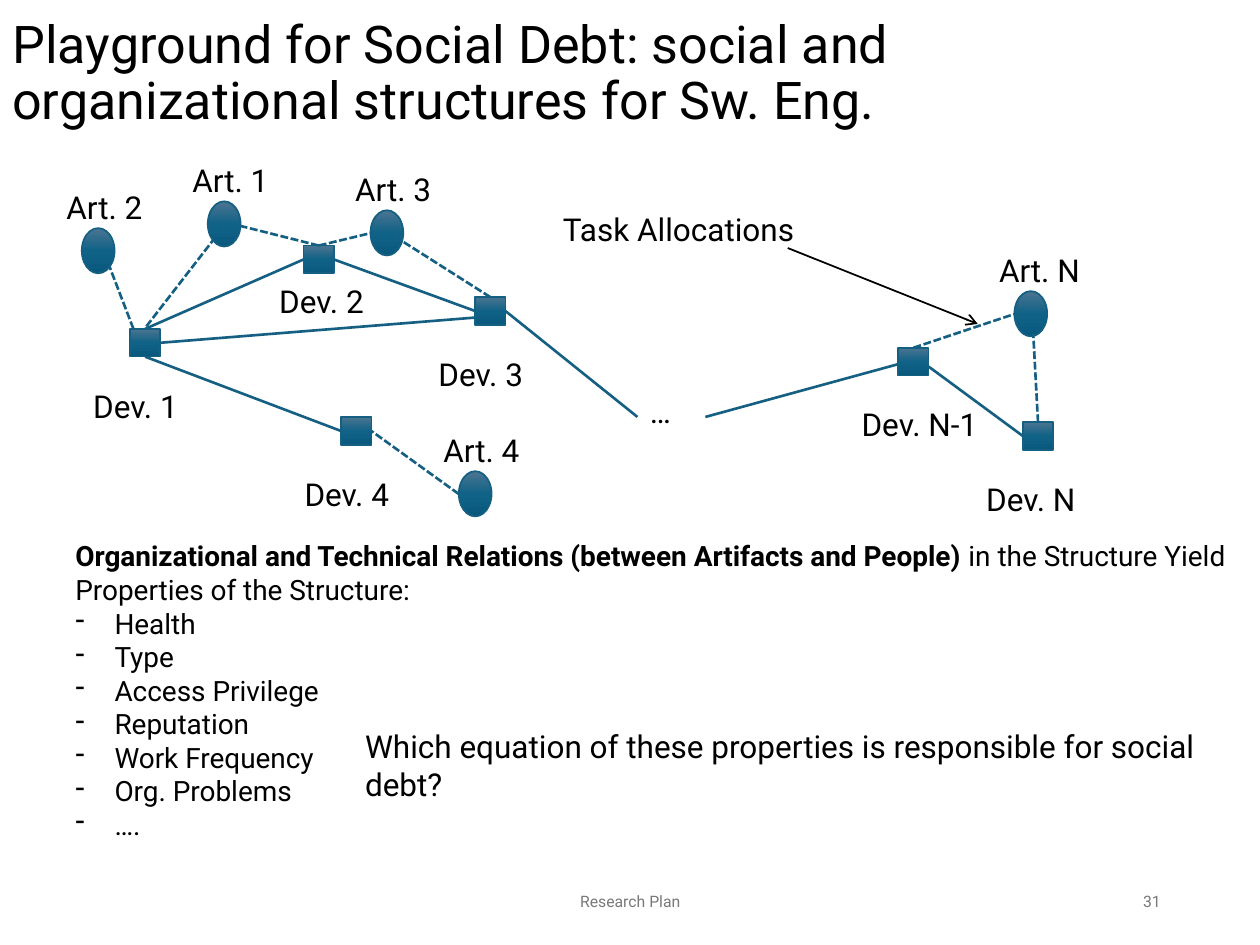
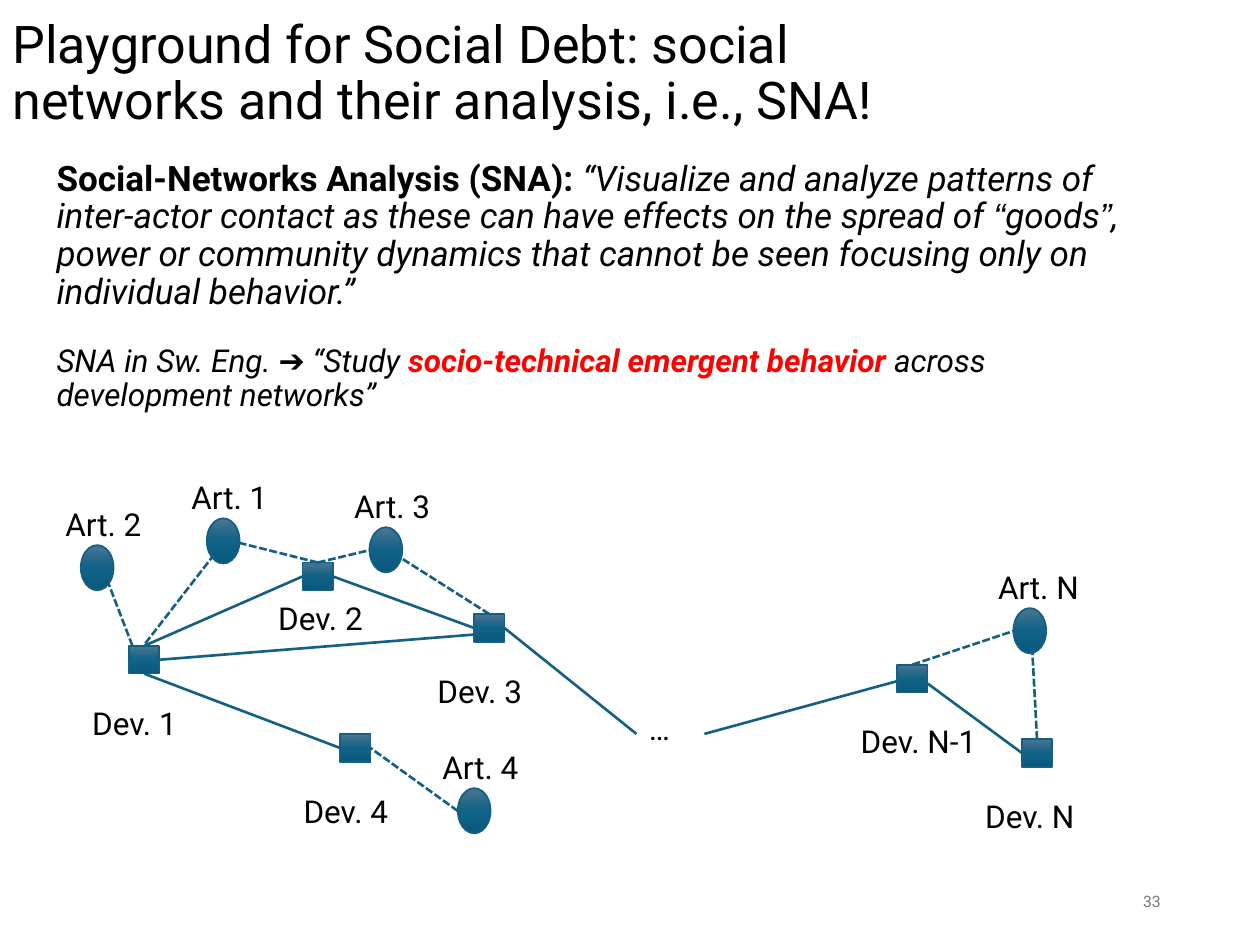
from copy import deepcopy

from lxml import etree
from pptx import Presentation
from pptx import util as u
from pptx.dml.color import RGBColor
from pptx.enum import dml, shapes, text
from pptx.oxml.ns import qn

FONT = "Roboto"
BLACK, GREY, RED, BLUE = "000000", "797979", "FF0000", "156082"
SHADES = [(0, "4C7591"), (0.5, "106287"), (1, "09597D")]
TOP, LEFT, BOTTOM, RIGHT = range(4)
ALIGN = text.PP_ALIGN

DEV_SIZE, ART_SIZE = (0.61, 0.56), (0.66, 0.91)
DEV_TAG, ART_TAG = (-0.99, 1.04), (-0.56, -0.93)
DEVS = [
    ("Dev. 1", 2.62, 6.63, DEV_TAG),
    ("Dev. 4", 6.88, 8.41, DEV_TAG),
    ("Dev. 2", 6.12, 4.95, (-0.74, 0.61)),
    ("Dev. 3", 9.58, 5.99, DEV_TAG),
    ("Dev. N-1", 18.11, 7.01, DEV_TAG),
    ("Dev. N", 20.62, 8.51, DEV_TAG),
]
ARTS = [
    ("Art. 2", 1.65, 4.6),
    ("Art. 3", 7.47, 4.24),
    ("Art. 1", 4.19, 4.06),
    ("Art. 4", 9.25, 9.5),
    ("Art. N", 20.45, 5.87),
]
PEER_TIES = [
    (("Dev. 1", TOP), ("Dev. 2", LEFT)),
    (("Dev. 2", RIGHT), ("Dev. 3", LEFT)),
    (("Dev. 1", BOTTOM), ("Dev. 4", LEFT)),
    (("Dev. 1", RIGHT), (9.6, 6.4)),
    ((18.72, 7.39), ("Dev. N", LEFT)),
    (("…", RIGHT), (18.11, 7.34)),
    (("Dev. 3", RIGHT), ("…", LEFT)),
]
TASK_TIES = [
    (("Dev. N-1", TOP), (20.45, 6.33)),
    (("Dev. N", TOP), (20.83, 6.73)),
    (("Dev. 3", TOP), (7.98, 4.78)),
    (("Dev. 2", TOP), (7.47, 4.7)),
    ((2.69, 6.63), (2.21, 5.38)),
    ((2.95, 6.58), (4.29, 4.85)),
    (("Dev. 2", TOP), (4.83, 4.55)),
    ((9.25, 9.96), ("Dev. 4", RIGHT)),
]


def tint(code):
    return RGBColor.from_string(code)


def add_run(para, words, size, color=BLACK, bold=False, slant=False, face=FONT):
    run = para.add_run()
    run.text = words
    font = run.font
    font.name, font.size, font.bold, font.italic = face, u.Pt(size), bold, slant
    font.color.rgb = tint(color)


def add_box(slide, x, y, wide, high, middle=False):
    box = slide.shapes.add_textbox(u.Cm(x), u.Cm(y), u.Cm(wide), u.Cm(high))
    frame = box.text_frame
    frame.word_wrap = True
    if middle:
        frame.vertical_anchor = text.MSO_ANCHOR.MIDDLE
    return box


def add_label(slide, words, x, y, wide, high=1.27, size=18):
    box = add_box(slide, x, y, wide, high)
    add_run(box.text_frame.paragraphs[0], words, size)
    return box


def add_title(slide, words):
    box = add_box(slide, 0, 0.33, 20.5, 2.34, middle=True)
    para = box.text_frame.paragraphs[0]
    para.line_spacing = 0.9
    add_run(para, words, 29.7)


def add_footer(slide, words, x, wide, align):
    box = add_box(slide, x, 17.65, wide, 1.02, middle=True)
    para = box.text_frame.paragraphs[0]
    para.alignment = align
    add_run(para, words, 9, GREY)


def add_number(slide, number):
    add_footer(slide, number, 17.93, 5.72, ALIGN.RIGHT)


def add_node(slide, kind, x, y, size):
    node = slide.shapes.add_shape(kind, u.Cm(x), u.Cm(y), *map(u.Cm, size))
    node.shadow.inherit = False
    node.line.color.rgb = tint(BLUE)
    node.line.width = u.Pt(1)
    fill = node.fill
    fill.gradient()
    fill.gradient_angle = 270
    stops = node._element.spPr.find(".//" + qn("a:gsLst"))
    stops.insert(1, deepcopy(stops[0]))
    for stop, (place, code) in zip(fill.gradient_stops, SHADES):
        stop.position = place
        stop.color.rgb = tint(code)
    return node


def add_line(slide, start, end, color=BLUE, width=1.5, dash=False, arrow=False):
    points = map(u.Cm, (*start, *end))
    line = slide.shapes.add_connector(shapes.MSO_CONNECTOR.STRAIGHT, *points)
    line.line.color.rgb = tint(color)
    line.line.width = u.Pt(width)
    if dash:
        line.line.dash_style = dml.MSO_LINE.SQUARE_DOT
    if arrow:
        etree.SubElement(line.line._ln, qn("a:tailEnd"), type="arrow")
    etree.SubElement(line._element.spPr, qn("a:effectLst"))
    return line


def add_tie(slide, nodes, start, end, dx, dy, dash):
    spots = [(0, 0) if end_[0] in nodes else (end_[0] + dx, end_[1] + dy)
             for end_ in (start, end)]
    line = add_line(slide, *spots, dash=dash)
    for (name, side), join in ((start, line.begin_connect), (end, line.end_connect)):
        if name in nodes:
            join(nodes[name], side)


def add_network(slide, dx=0, dy=0):
    nodes = {}
    wide = {"Dev. N-1": 3.63, "Dev. N": 2.92}
    for name, x, y, (tag_x, tag_y) in DEVS:
        x, y = x + dx, y + dy
        nodes[name] = add_node(slide, shapes.MSO_SHAPE.RECTANGLE, x, y, DEV_SIZE)
        add_label(slide, name, x + tag_x, y + tag_y, wide.get(name, 2.74))
    nodes["…"] = add_label(slide, "…", 12.85 + dx, 7.77 + dy, 1.37)
    for name, x, y in ARTS:
        x, y = x + dx, y + dy
        add_node(slide, shapes.MSO_SHAPE.OVAL, x, y, ART_SIZE)
        add_label(slide, name, x + ART_TAG[0], y + ART_TAG[1], 2.74)
    for ties, dash in ((PEER_TIES, False), (TASK_TIES, True)):
        for start, end in ties:
            add_tie(slide, nodes, start, end, dx, dy, dash)


def add_traits(slide):
    frame = add_box(slide, 1.27, 10.74, 23.77, 7.09).text_frame
    lead = frame.paragraphs[0]
    add_run(lead, "Organizational and Technical Relations (between Artifacts and People) ",
            16, bold=True)
    add_run(lead, "in the Structure Yield Properties of the Structure:", 16)
    for trait in ("Health", "Type", "Access Privilege", "Reputation",
                  "Work Frequency", "Org. Problems", "…."):
        para = frame.add_paragraph()
        props = para._p.get_or_add_pPr()
        props.set("marL", str(u.Cm(0.79)))
        props.set("indent", str(-u.Cm(0.79)))
        etree.SubElement(props, qn("a:buChar"), char="-")
        add_run(para, trait, 16)


def add_quotes(slide):
    frame = add_box(slide, 0.89, 3.12, 22.4, 6.12).text_frame
    quote, study = frame.paragraphs[0], frame.add_paragraph()
    quote.line_spacing = study.line_spacing = 0.9
    study.space_before = u.Pt(19)
    add_run(quote, "Social-Networks Analysis (SNA): ", 20, bold=True)
    for words, face in (
        ("“Visualize and analyze patterns of inter-actor contact as these can "
         "have effects on the spread of ", FONT),
        ("“", "Arial"),
        ("goods", FONT),
        ("”", "Arial"),
        (", power or community dynamics that cannot be seen focusing only on "
         "individual behavior.”", FONT),
    ):
        add_run(quote, words, 20, slant=True, face=face)
    add_run(study, "SNA in Sw. Eng. ➔ “Study ", 18, slant=True)
    add_run(study, "socio-technical emergent behavior ", 18, RED, bold=True, slant=True)
    add_run(study, "across development networks”", 18, slant=True)


def main():
    deck = Presentation()
    deck.slide_width, deck.slide_height = u.Cm(25.4), u.Cm(19.05)
    blank = deck.slide_layouts[6]

    slide = deck.slides.add_slide(blank)
    add_title(slide, "Playground for Social Debt: social and organizational "
                     "structures for Sw. Eng.")
    add_network(slide)
    add_traits(slide)
    add_label(slide, "Which equation of these properties is responsible for social debt?",
              7.11, 14.53, 17.6, 2.31)
    add_label(slide, "Task Allocations", 11.1, 4.11, 6.22)
    add_line(slide, (15.88, 5), (19.71, 6.53), BLACK, 1, arrow=True)
    add_footer(slide, "Research Plan", 8.41, 8.59, ALIGN.CENTER)
    add_number(slide, "31")

    slide = deck.slides.add_slide(blank)
    add_title(slide, "Playground for Social Debt: social networks and their "
                     "analysis, i.e., SNA!")
    add_quotes(slide)
    add_network(slide, -0.02, 6.39)
    add_number(slide, "33")

    deck.save("out.pptx")


if __name__ == "__main__":
    main()
